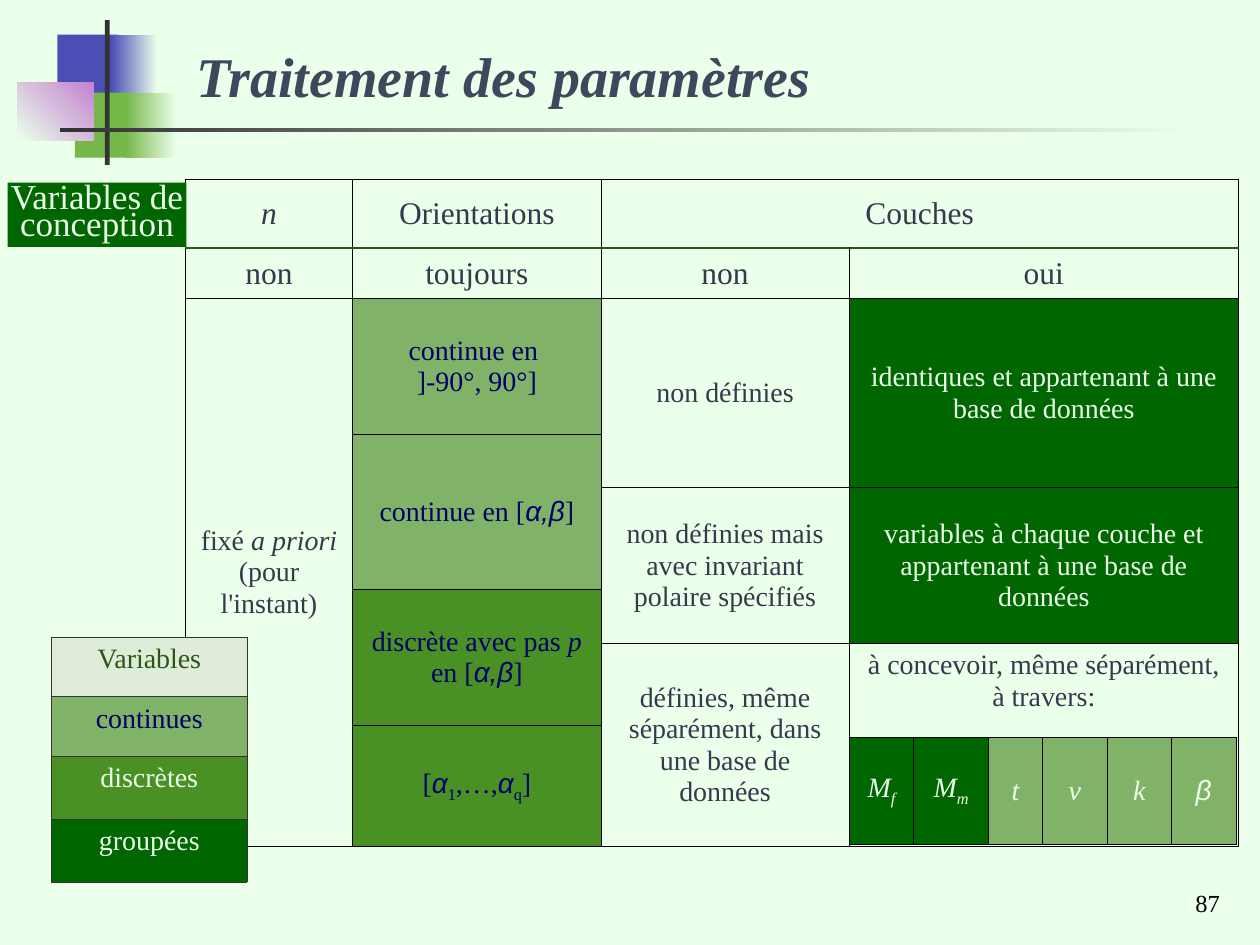
import pptx
import pptx.util
import pptx.dml.color
import pptx.enum.shapes
import pptx.enum.text
import pptx.oxml.ns
import lxml.etree

COLORS = {
    "bg": "EBFFEB", "title": "3D485D", "body": "323B4C", "navy": "000066",
    "black": "000000", "bar": "333333", "rule": "2C5816",
    "blue": "4B4EB5", "lime": "76B749", "pink": "C481CF",
    "pale": "E0ECDA", "pale_text": "2B5715",
    "continuous": "80B367", "discrete": "499125", "grouped": "006600",
}
SERIF = "Times New Roman"
ITALIC = {"italic": True}
GREEK = {"font": "Arial", "italic": True}
SUB = {"sub": True}
SLIDE_W, SLIDE_H = 10, 7.5

ALIGN = pptx.enum.text.PP_ALIGN
ANCHOR = pptx.enum.text.MSO_ANCHOR
inch = pptx.util.Inches


def rgb(name):
    return pptx.dml.color.RGBColor.from_string(COLORS[name])


def text(tf, content, size=16, color="body", align=ALIGN.CENTER, spacing=None, **base):
    """Write a string, or a list of strings and (string, format) pairs."""
    tf.word_wrap = True
    p = tf.paragraphs[0]
    p.alignment = align
    if spacing:
        p.line_spacing = spacing
    for part in [content] if isinstance(content, str) else content:
        words, extra = (part, {}) if isinstance(part, str) else part
        fmt = {**base, **extra}
        for i, line in enumerate(words.split("\n")):
            if i:
                p.add_line_break()
            r = p.add_run()
            r.text = line
            r.font.size = pptx.util.Pt(size)
            r.font.name = fmt.get("font", SERIF)
            r.font.bold = fmt.get("bold", False)
            r.font.italic = fmt.get("italic", False)
            r.font.color.rgb = rgb(color)
            if fmt.get("sub"):
                r._r.get_or_add_rPr().set("baseline", "-25000")


def rect(s, box, color, end=None, angle=0):
    """Plain rectangle, or a gradient from color to end."""
    sp = s.shapes.add_shape(pptx.enum.shapes.MSO_SHAPE.RECTANGLE, *map(inch, box))
    sp.shadow.inherit = False
    sp.line.fill.background()
    if end:
        sp.fill.gradient()
        sp.fill.gradient_angle = angle
        for stop, name, pos in zip(sp.fill.gradient_stops, (color, end), (0, 1)):
            stop.color.rgb = rgb(name)
            stop.position = pos
    else:
        sp.fill.solid()
        sp.fill.fore_color.rgb = rgb(color)
    return sp


def borders(cell, color, width=0.45, **sides):
    """Draw four borders; sides (L, R, T, B) override colour and width."""
    tc_pr = cell._tc.get_or_add_tcPr()
    ns = pptx.oxml.ns.qn
    for i, side in enumerate("LRTB"):
        name, pt = sides.get(side, (color, width))
        ln = lxml.etree.Element(ns(f"a:ln{side}"), w=str(pptx.util.Pt(pt)))
        fill = lxml.etree.SubElement(ln, ns("a:solidFill"))
        lxml.etree.SubElement(fill, ns("a:srgbClr"), val=COLORS[name])
        tc_pr.insert(i, ln)


def table(s, box, cols, rows, line):
    """Unstyled bordered table; cols and rows are relative sizes."""
    x, y, w, h = box
    tbl = s.shapes.add_table(len(rows), len(cols), *map(inch, box)).table
    tbl.first_row = tbl.horz_banding = False
    for col, share in zip(tbl.columns, cols):
        col.width = inch(w * share / sum(cols))
    for row, share in zip(tbl.rows, rows):
        row.height = inch(h * share / sum(rows))
    for cell in tbl.iter_cells():
        cell.fill.background()
        borders(cell, line)
    return tbl


def fill_cell(cell, content, fill=None, anchor=ANCHOR.MIDDLE, **fmt):
    cell.vertical_anchor = anchor
    if fill:
        cell.fill.solid()
        cell.fill.fore_color.rgb = rgb(fill)
    text(cell.text_frame, content, **fmt)


def emblem(s, box):
    x, y, w, h = box
    parts = [
        ((0.25, 0.10, 0.38, 0.45), "blue"),
        ((0.59, 0.10, 0.29, 0.45), "bg", "blue", 180),
        ((0.36, 0.50, 0.37, 0.45), "lime"),
        ((0.68, 0.50, 0.32, 0.45), "bg", "lime", 180),
        ((0, 0.43, 0.48, 0.40), "pink", "bg", 225),
        ((0.55, 0, 0.03, 1), "bar"),
    ]
    for (px, py, pw, ph), *paint in parts:
        rect(s, (x + px * w, y + py * h, pw * w, ph * h), *paint)


def title(s, box):
    sp = s.shapes.title
    sp.left, sp.top, sp.width, sp.height = map(inch, box)
    tf = sp.text_frame
    tf.auto_size = pptx.enum.text.MSO_AUTO_SIZE.NONE
    tf.vertical_anchor = ANCHOR.BOTTOM
    text(tf, "Traitement des paramètres", size=32, color="title",
         align=ALIGN.LEFT, bold=True, italic=True)


def parameter_table(s, box):
    tbl = table(s, box, (1.33, 1.97, 1.97, 3.09),
                (0.55, 0.4, 1.08, 0.42, 0.81, 0.43, 0.65, 0.96), "black")
    # Heavier rule under the header
    for c in range(4):
        for r, side in ((0, "B"), (1, "T")):
            cell = tbl.cell(r, c)
            for ln in list(cell._tc.tcPr)[:4]:
                cell._tc.tcPr.remove(ln)
            borders(cell, "black", **{side: ("rule", 1.47)})

    head, navy, light = {"size": 18}, {"color": "navy"}, {"color": "bg"}
    # row, column, rows spanned, columns spanned, content, format
    cells = [
        (0, 0, 1, 1, "n", {**head, **ITALIC}),
        (0, 1, 1, 1, "Orientations", head),
        (0, 2, 1, 2, "Couches", head),
        (1, 0, 1, 1, "non", head),
        (1, 1, 1, 1, "toujours", head),
        (1, 2, 1, 1, "non", head),
        (1, 3, 1, 1, "oui", head),
        (2, 0, 6, 1, ["fixé ", ("a priori", ITALIC), " (pour l'instant)"], {}),
        (2, 1, 1, 1, "continue en \n]-90°, 90°]", {"fill": "continuous", **navy}),
        (3, 1, 2, 1, ["continue en [", ("α,β", GREEK), "]"],
         {"fill": "continuous", **navy}),
        (5, 1, 2, 1, ["discrète avec pas ", ("p", ITALIC), " en [", ("α,β", GREEK), "]"],
         {"fill": "discrete", **navy}),
        (7, 1, 1, 1, ["[", ("α", GREEK), ("1", SUB), ",…,", ("α", GREEK), ("q", SUB), "]"],
         {"fill": "discrete", **navy}),
        (2, 2, 2, 1, "non définies", {}),
        (4, 2, 2, 1, "non définies mais avec invariant polaire spécifiés", {}),
        (6, 2, 2, 1, "définies, même séparément, dans une base de données", {}),
        (2, 3, 2, 1, "identiques et appartenant à une base de données",
         {"fill": "grouped", **light}),
        (4, 3, 2, 1, "variables à chaque couche et appartenant à une base de données",
         {"fill": "grouped", **light}),
        (6, 3, 2, 1, "à concevoir, même séparément, à travers:", {"anchor": ANCHOR.TOP}),
    ]
    for r, c, down, across, content, fmt in cells:
        cell = tbl.cell(r, c)
        if down * across > 1:
            cell.merge(tbl.cell(r + down - 1, c + across - 1))
        fill_cell(cell, content, **fmt)


def design_label(s, box):
    tf = rect(s, box, "grouped").text_frame
    tf.margin_left = tf.margin_right = 0
    tf.margin_top = tf.margin_bottom = inch(0.04)
    tf.vertical_anchor = ANCHOR.TOP
    text(tf, "Variables de conception", size=20, color="bg", spacing=0.65)


def layer_table(s, box):
    tbl = table(s, box, (0.51, 0.59, 0.43, 0.51, 0.51, 0.51), (1,), "black")
    symbols = [["M", ("f", SUB)], ["M", ("m", SUB)], "t", "v", "k", [("β", GREEK)]]
    for i, (cell, symbol) in enumerate(zip(tbl.iter_cells(), symbols)):
        fill_cell(cell, symbol, fill="grouped" if i < 2 else "continuous",
                  color="bg", italic=True)


def legend(s, box):
    tbl = table(s, box, (1,), (0.47, 0.47, 0.5, 0.5), "bar")
    entries = [("Variables", "pale", "pale_text"), ("continues", "continuous", "navy"),
               ("discrètes", "discrete", "bg"), ("groupées", "grouped", "bg")]
    for cell, (name, fill, color) in zip(tbl.iter_cells(), entries):
        fill_cell(cell, name, fill=fill, color=color, anchor=ANCHOR.TOP)


def page_number(s, box):
    tf = s.shapes.add_textbox(*map(inch, box)).text_frame
    tf.vertical_anchor = ANCHOR.BOTTOM
    text(tf, "87", size=14, color="black", align=ALIGN.RIGHT)


def main():
    prs = pptx.Presentation()
    prs.slide_width, prs.slide_height = inch(SLIDE_W), inch(SLIDE_H)
    s = prs.slides.add_slide(prs.slide_layouts[5])
    s.background.fill.solid()
    s.background.fill.fore_color.rgb = rgb("bg")

    emblem(s, (0.14, 0.16, 1.26, 1.15))
    rect(s, (0.48, 1.02, 9, 0.03), "bg", "bar", 180)
    title(s, (1.46, 0.23, 8.32, 0.68))
    parameter_table(s, (1.47, 1.42, 8.36, 5.3))
    design_label(s, (0.06, 1.45, 1.42, 0.51))
    layer_table(s, (6.74, 5.85, 3.07, 0.85))
    legend(s, (0.41, 5.06, 1.55, 1.94))
    page_number(s, (7.7, 6.83, 2.08, 0.5))
    prs.save("out.pptx")


if __name__ == "__main__":
    main()
